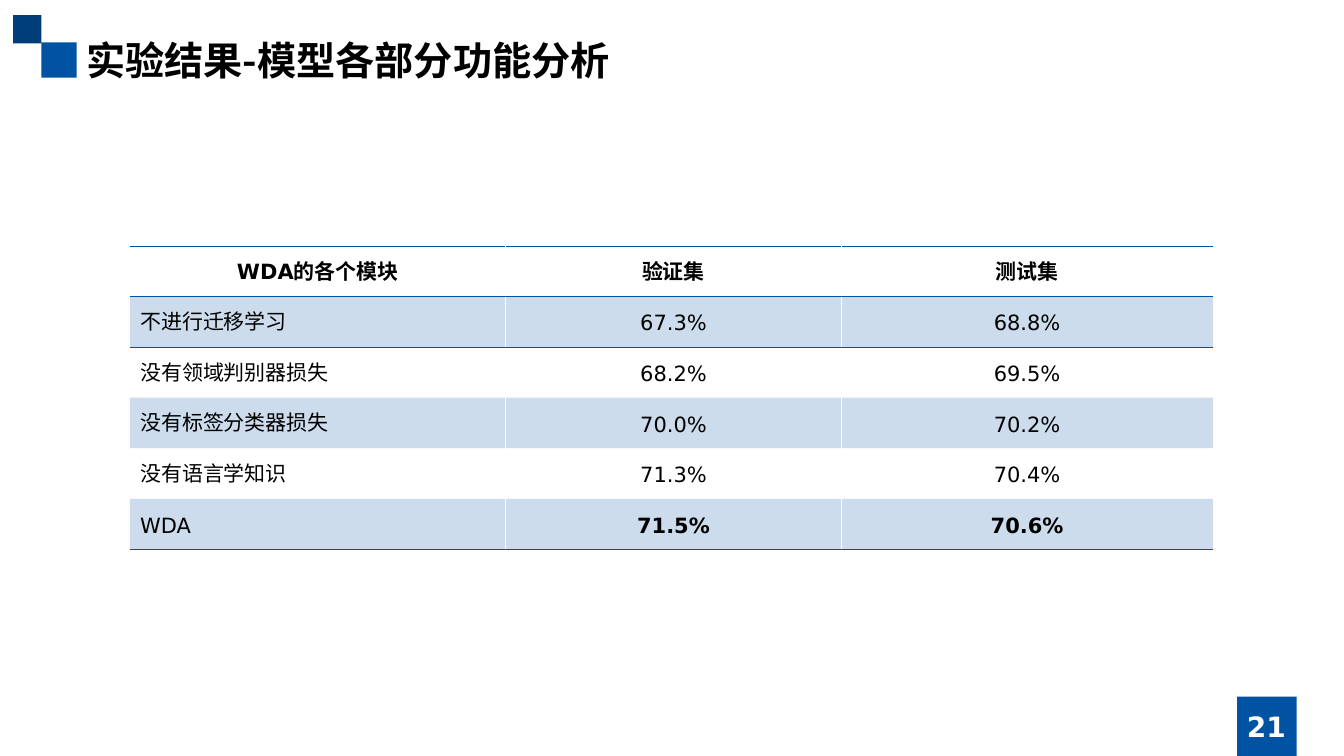
from lxml import etree
from pptx import Presentation
from pptx import util as u
from pptx.dml import color
from pptx.enum import shapes, text
from pptx.oxml import ns

SCALE = 9144
COLOURS = {"blue": "0053A3", "navy": "003E7A", "white": "FFFFFF", "black": "000000"}
LATIN = "DejaVu Sans"
CJK = "Noto Sans CJK SC"
HEADER = [[("WDA", LATIN), ("的各个模块", CJK)], [("验证集", CJK)], [("测试集", CJK)]]
RESULTS = [
    ("不进行迁移学习", CJK, "67.3%", "68.8%"),
    ("没有领域判别器损失", CJK, "68.2%", "69.5%"),
    ("没有标签分类器损失", CJK, "70.0%", "70.2%"),
    ("没有语言学知识", CJK, "71.3%", "70.4%"),
    ("WDA", LATIN, "71.5%", "70.6%"),
]
COLUMN_WIDTHS = [373, 333, 369]


def px(value):
    return u.Emu(value * SCALE)


def rgb(name):
    return color.RGBColor.from_string(COLOURS[name])


def add_span(para, words, font, size, bold, colour="black"):
    span = para.add_run()
    span.text = words
    span.font.size = u.Pt(size)
    span.font.bold = bold
    span.font.name = font
    span.font.color.rgb = rgb(colour)
    etree.SubElement(span._r.get_or_add_rPr(), ns.qn("a:ea"), typeface=font)


def add_square(page, left, top, side, colour):
    square = page.shapes.add_shape(
        shapes.MSO_SHAPE.RECTANGLE, px(left), px(top), px(side), px(side))
    square.shadow.inherit = False
    square.fill.solid()
    square.fill.fore_color.rgb = rgb(colour)
    square.line.fill.background()


def add_label(page, area, words, font, size, colour, align, anchor):
    box = page.shapes.add_textbox(*map(px, area))
    frame = box.text_frame
    frame.word_wrap = True
    frame.vertical_anchor = anchor
    para = frame.paragraphs[0]
    para.alignment = align
    add_span(para, words, font, size, True, colour)
    return frame


def add_border(cell, side, colour):
    line = etree.SubElement(cell._tc.get_or_add_tcPr(), ns.qn("a:ln" + side), w=str(u.Pt(0.45)))
    fill = etree.SubElement(line, ns.qn("a:solidFill"))
    etree.SubElement(fill, ns.qn("a:srgbClr"), val=COLOURS[colour])


def fill_cell(cell, tinted):
    if not tinted:
        cell.fill.background()
        return
    cell.fill.solid()
    cell.fill.fore_color.rgb = rgb("blue")
    tint = cell._tc.tcPr.find(ns.qn("a:solidFill")).find(ns.qn("a:srgbClr"))
    etree.SubElement(tint, ns.qn("a:alpha"), val="20000")


def write_cell(cell, spans, bold, centred):
    cell.vertical_anchor = text.MSO_ANCHOR.MIDDLE
    para = cell.text_frame.paragraphs[0]
    para.alignment = text.PP_ALIGN.CENTER if centred else text.PP_ALIGN.LEFT
    para.line_spacing = u.Pt(20)
    for words, font in spans:
        add_span(para, words, font, 15, bold)


def add_results_table(page):
    rows = HEADER, *[
        [[(name, font)], [(validation, LATIN)], [(test, LATIN)]]
        for name, font, validation, test in RESULTS
    ]
    last_row, last_column = len(rows) - 1, len(COLUMN_WIDTHS) - 1
    frame = page.shapes.add_table(
        len(rows), len(COLUMN_WIDTHS), px(129), px(244), px(sum(COLUMN_WIDTHS)), px(301))
    table = frame.table
    table.first_row = table.horz_banding = False
    style = table._tbl.tblPr.find(ns.qn("a:tableStyleId"))
    style.text = "{2D5ABB26-0587-4C30-8999-92F81FD0307C}"
    for column, width in zip(table.columns, COLUMN_WIDTHS):
        column.width = px(width)
    for r, row in enumerate(rows):
        for c, spans in enumerate(row):
            cell = table.cell(r, c)
            borders = [
                ("L", "white", c > 0),
                ("R", "white", c < last_column),
                ("T", "blue", r <= 1),
                ("B", "blue", r in (0, last_row)),
            ]
            for side, colour, shown in borders:
                if shown:
                    add_border(cell, side, colour)
            fill_cell(cell, r % 2 == 1)
            bold = r == 0 or (r == last_row and c > 0)
            write_cell(cell, spans, bold, r == 0 or c > 0)


def main():
    deck = Presentation()
    deck.slide_width, deck.slide_height = px(1334), px(750)
    page = deck.slides.add_slide(deck.slide_layouts[6])
    add_square(page, 41, 42, 35, "blue")
    add_square(page, 13, 15, 28, "navy")
    add_square(page, 1228, 691, 59, "blue")
    title = add_label(page, (76, 31, 1181, 57), "实验结果-模型各部分功能分析", CJK, 28,
                      "black", text.PP_ALIGN.LEFT, text.MSO_ANCHOR.TOP)
    title.auto_size = text.MSO_AUTO_SIZE.SHAPE_TO_FIT_TEXT
    add_label(page, (1181, 701, 152, 40), "21", LATIN, 20,
              "white", text.PP_ALIGN.CENTER, text.MSO_ANCHOR.MIDDLE)
    add_results_table(page)
    deck.save("out.pptx")


if __name__ == "__main__":
    main()
